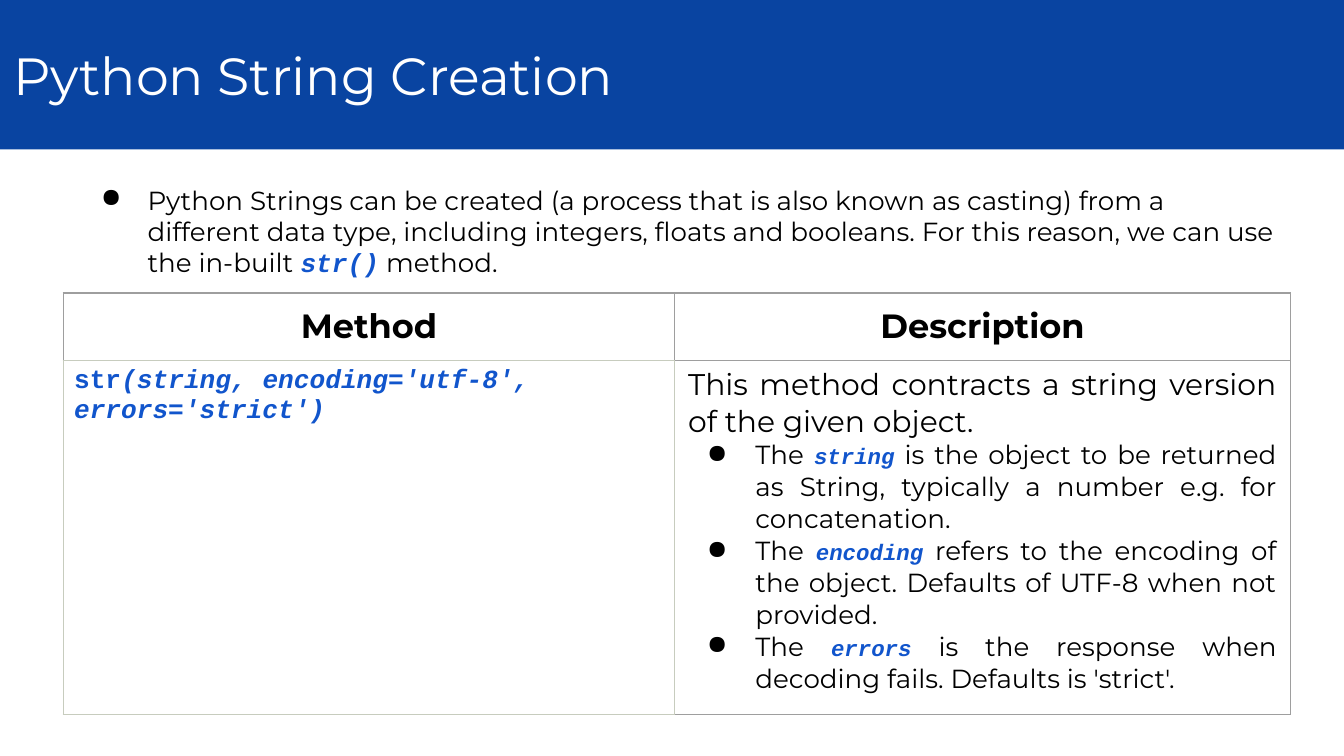
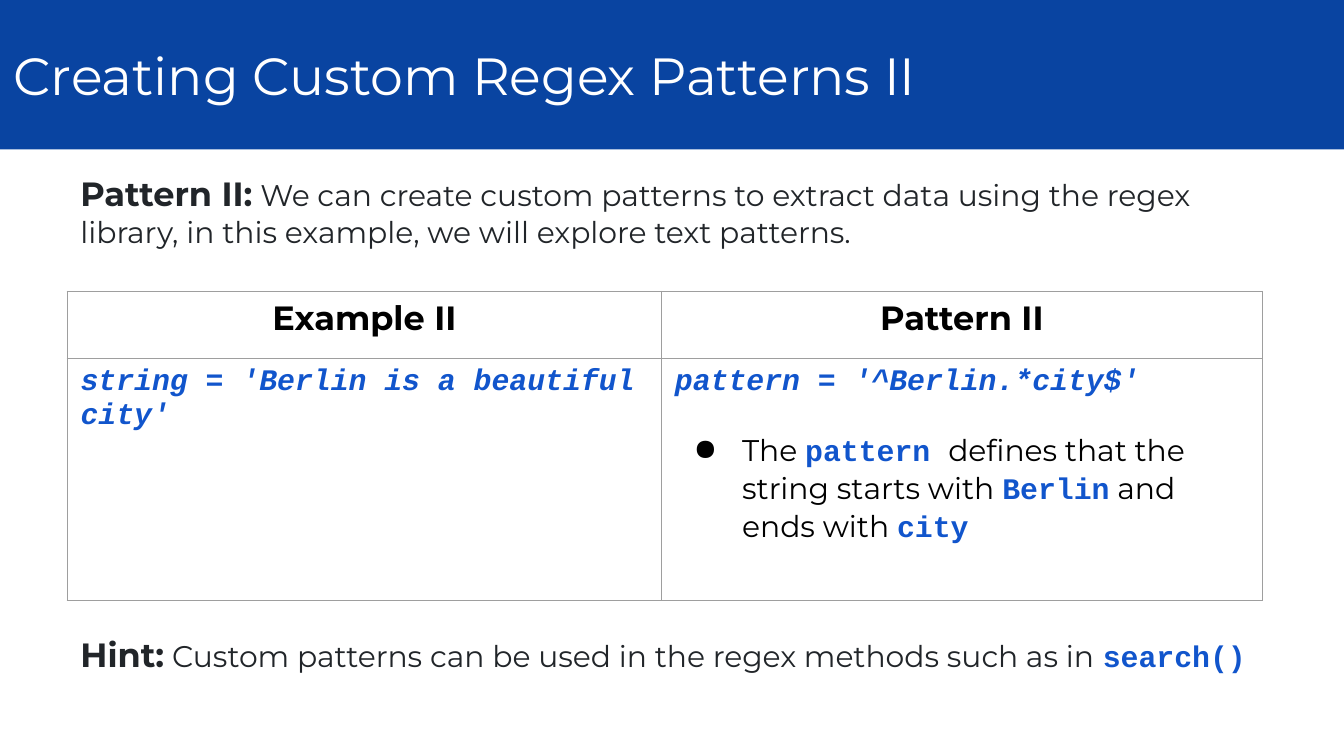
import pptx
import pptx.util
import pptx.dml.color
import pptx.enum.text
import pptx.oxml.ns
import lxml.etree

Pt = pptx.util.Pt
ALIGN = pptx.enum.text.PP_ALIGN
ANCHOR = pptx.enum.text.MSO_ANCHOR
FIT = pptx.enum.text.MSO_AUTO_SIZE

BAND, WHITE, BLACK, INK, CODE = "0944A1", "FFFFFF", "000000", "212529", "1155CC"
GREY, PALE = "9E9E9E", "C7CCBE"
SANS, MONO = "Montserrat", "Courier New"

# style: font, colour, bold, italic
STYLES = {
    "title": (SANS, WHITE, False, False),
    "body": (SANS, BLACK, False, False),
    "head": (SANS, BLACK, True, False),
    "note": (SANS, INK, False, False),
    "lead": (SANS, INK, True, False),
    "code": (MONO, CODE, True, False),
    "slant": (MONO, CODE, True, True),
}


def rgb(code):
    return pptx.dml.color.RGBColor.from_string(code)


def node(parent, tag, **attrs):
    return lxml.etree.SubElement(parent, pptx.oxml.ns.qn(tag), attrs)


def style(run, name, size):
    font = run.font
    font.name, color, font.bold, font.italic = STYLES[name]
    font.color.rgb = rgb(color)
    font.size = Pt(size)


def bullet(para, hang):
    props = para._p.get_or_add_pPr()
    props.set("marL", str(Pt(36)))
    props.set("indent", str(-Pt(hang)))
    node(node(props, "a:buClr"), "a:srgbClr", val=BLACK)
    node(props, "a:buChar", char="●")


def write(frame, paras, align=ALIGN.LEFT):
    """Fill a frame; each paragraph is (runs, options), each run (text, style, size)."""
    for i, (runs, opts) in enumerate(paras):
        para = frame.add_paragraph() if i else frame.paragraphs[0]
        if "hang" in opts:
            bullet(para, opts["hang"])
        para.alignment = align
        if "gap" in opts:
            para.space_before = Pt(opts["gap"])
        for text, name, size in runs:
            run = para.add_run()
            run.text = text
            style(run, name, size)


def inset(item, side, top):
    item.margin_left = item.margin_right = Pt(side)
    item.margin_top = item.margin_bottom = Pt(top)


def new_slide(deck, text):
    slide = deck.slides.add_slide(deck.slide_layouts[5])
    title = slide.shapes.title
    title.left, title.top, title.width, title.height = 0, 0, deck.slide_width, Pt(80)
    title.fill.solid()
    title.fill.fore_color.rgb = rgb(BAND)
    frame = title.text_frame
    inset(frame, 7.2, 7.2)
    frame.word_wrap = True
    frame.auto_size = FIT.NONE
    frame.vertical_anchor = ANCHOR.MIDDLE
    frame.text = text
    frame.paragraphs[0].alignment = ALIGN.LEFT
    style(frame.paragraphs[0].runs[0], "title", 28)
    return slide


def text_box(slide, top, height, runs, **opts):
    box = slide.shapes.add_textbox(Pt(36), Pt(top), Pt(657.4), Pt(height))
    frame = box.text_frame
    inset(frame, 7.2, 7.2)
    frame.word_wrap = True
    frame.auto_size = FIT.SHAPE_TO_FIT_TEXT
    write(frame, [(runs, opts)])


def border(cell, pale):
    props = cell._tc.get_or_add_tcPr()
    for side in "LRTB":
        line = node(props, "a:ln" + side, w=str(Pt(0.75)))
        fill = node(line, "a:solidFill")
        node(fill, "a:srgbClr", val=PALE if side in pale else GREY)


def grid(slide, left, top, cols, rows, heads, anchor, pale):
    """Add a two-row table with a bold heading row; pale maps cells to lighter sides."""
    shape = slide.shapes.add_table(len(rows), len(cols), Pt(left), Pt(top),
                                   Pt(sum(cols)), Pt(sum(rows)))
    table = shape.table
    table.first_row = table.horz_banding = False
    for col, width in zip(table.columns, cols):
        col.width = Pt(width)
    for row, height in zip(table.rows, rows):
        row.height = Pt(height)
    for r in range(len(rows)):
        for c in range(len(cols)):
            cell = table.cell(r, c)
            inset(cell, 7.2, 3.6)
            border(cell, pale.get((r, c), ""))
            cell.fill.background()
    for c, head in enumerate(heads):
        cell = table.cell(0, c)
        cell.vertical_anchor = anchor
        write(cell.text_frame, [([(head, "head", 18)], {})], ALIGN.CENTER)
    return table


def creation(deck):
    slide = new_slide(deck, "Python String Creation")
    table = grid(slide, 33.9, 157, [327.6, 329.8], [36, 190], ["Method", "Description"],
                 ANCHOR.MIDDLE, {(0, 0): "B", (1, 0): "LRTB", (1, 1): "L"})
    method, about = table.cell(1, 0), table.cell(1, 1)
    inset(method, 5.8, 3.6)
    write(method.text_frame, [([
        ("str", "code", 14),
        ("(string, encoding='utf-8', errors='strict')", "slant", 14)], {})])
    args = [
        ("string", " is the object to be returned as String, typically a number e.g. for concatenation."),
        ("encoding", " refers to the encoding of the object. Defaults of UTF-8 when not provided."),
        ("errors", " is the response when decoding fails. Defaults is 'strict'."),
    ]
    intro = "This method contracts a string version of the given object."
    paras = [([(intro, "body", 16)], {})]
    paras += [([("The ", "body", 14), (name, "slant", 12), (text, "body", 14)], {"hang": 26})
              for name, text in args]
    write(about.text_frame, paras, ALIGN.JUSTIFY)
    text_box(slide, 91.4, 64.8, [
        ("Python Strings can be created (a process that is also known as casting) from a "
         "different data type, including integers, floats and booleans. For this reason, "
         "we can use the in-built ", "body", 14),
        ("str()", "slant", 14),
        (" method.", "body", 14)], hang=25)


def patterns(deck):
    slide = new_slide(deck, "Creating Custom Regex Patterns II")
    text_box(slide, 85.7, 55.4, [
        ("Pattern II:", "lead", 18),
        (" We can create custom patterns to extract data using the regex library, "
         "in this example, we will explore text patterns.", "note", 16)])
    table = grid(slide, 36, 156.2, [318.4, 321.8], [36, 129.6],
                 ["Example II", "Pattern II"], ANCHOR.TOP, {})
    write(table.cell(1, 0).text_frame,
          [([("string = 'Berlin is a beautiful city'", "slant", 16)], {})])
    write(table.cell(1, 1).text_frame, [
        ([("pattern = '^Berlin.*city$'", "slant", 16)], {}),
        ([("The ", "body", 16), ("pattern ", "code", 16),
          ("defines that the string starts with ", "body", 16), ("Berlin", "code", 16),
          (" and ends with ", "body", 16), ("city", "code", 16)], {"hang": 26, "gap": 18})])
    text_box(slide, 332.6, 36, [
        ("Hint:", "lead", 18),
        (" Custom patterns can be used in the regex methods such as in ", "note", 16),
        ("search()", "code", 16)])


def main():
    deck = pptx.Presentation()
    deck.slide_width, deck.slide_height = Pt(720), Pt(405)
    creation(deck)
    patterns(deck)
    deck.save("out.pptx")


if __name__ == "__main__":
    main()
